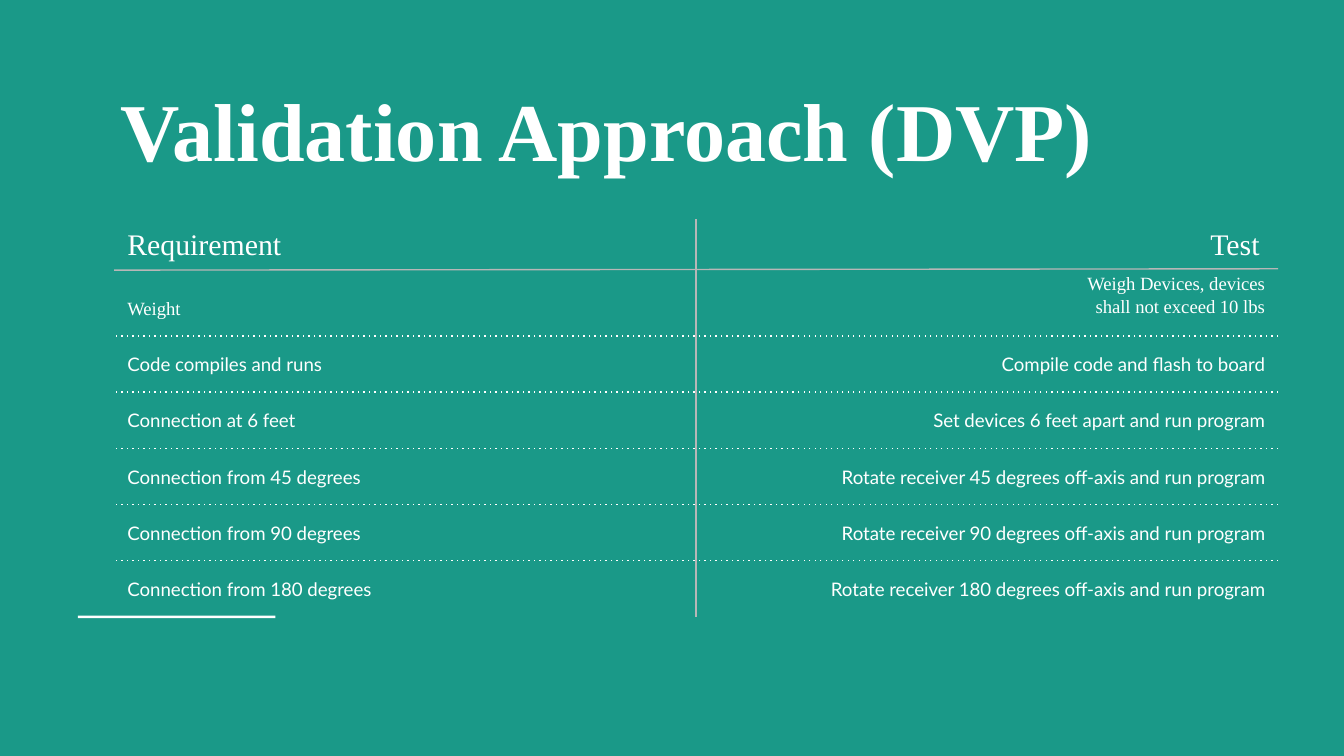
import pptx
import pptx.util
import pptx.dml.color
import pptx.enum.dml
import pptx.enum.shapes
import pptx.enum.text
import pptx.oxml.ns
import lxml.etree

Inches = pptx.util.Inches
Align = pptx.enum.text.PP_ALIGN
Anchor = pptx.enum.text.MSO_ANCHOR

COLORS = {"background": "1A9988", "text": "FFFFFF", "rule": "B7B7B7"}
SERIF, SANS = "Times New Roman", "Lato"
TABLE_LEFT, TABLE_RIGHT = 0.85, 9.51
FIRST_ROW_TOP, LAST_ROW_TOP = 2.12, 4.21
ROW_PITCH = (LAST_ROW_TOP - FIRST_ROW_TOP) / 5

presentation = pptx.Presentation()
presentation.slide_width = Inches(10)
presentation.slide_height = Inches(10 * 9 / 16)
slide = presentation.slides.add_slide(presentation.slide_layouts[6])
slide.background.fill.solid()
slide.background.fill.fore_color.rgb = pptx.dml.color.RGBColor.from_string(COLORS["background"])


def add_text(text, left, top, width, height, size=10, font=SANS, bold=False,
             align=Align.LEFT, anchor=Anchor.BOTTOM):
    box = slide.shapes.add_textbox(Inches(left), Inches(top), Inches(width), Inches(height))
    frame = box.text_frame
    frame.word_wrap = True
    frame.vertical_anchor = anchor
    frame.margin_left = frame.margin_right = Inches(0.1)
    frame.margin_top = frame.margin_bottom = Inches(0.1)
    paragraph = frame.paragraphs[0]
    paragraph.alignment = align
    run = paragraph.add_run()
    run.text = text
    run.font.size = pptx.util.Pt(size)
    run.font.name = font
    run.font.bold = bold
    run.font.color.rgb = pptx.dml.color.RGBColor.from_string(COLORS["text"])


def add_line(start, end, color, dotted=False):
    line = slide.shapes.add_connector(
        pptx.enum.shapes.MSO_CONNECTOR.STRAIGHT, *map(Inches, start + end))
    line.line.color.rgb = pptx.dml.color.RGBColor.from_string(COLORS[color])
    line.line.width = pptx.util.Pt(0.75)
    properties = line._element.spPr
    if dotted:
        line.line.dash_style = pptx.enum.dml.MSO_LINE.ROUND_DOT
        dash = properties.find(".//" + pptx.oxml.ns.qn("a:prstDash"))
        dash.set("val", "dot")
    lxml.etree.SubElement(properties, pptx.oxml.ns.qn("a:effectLst"))


# Accent bar and title
accent_bar = slide.shapes.add_shape(
    pptx.enum.shapes.MSO_SHAPE.RECTANGLE, Inches(0.58), Inches(4.58), Inches(1.47), Inches(0.02))
accent_bar.shadow.inherit = False
accent_bar.fill.solid()
accent_bar.fill.fore_color.rgb = pptx.dml.color.RGBColor.from_string(COLORS["text"])
accent_bar.line.fill.background()

add_text("Validation Approach (DVP)", 0.8, 0.49, 8.41, 0.86,
         size=44, font=SERIF, bold=True, anchor=Anchor.TOP)

# Rules between header, rows and columns
add_line((TABLE_RIGHT, 2), (TABLE_LEFT, 2.01), "rule")
for index in range(5):
    rule_top = 2.5 + index * ROW_PITCH
    add_line((TABLE_RIGHT, rule_top), (TABLE_LEFT, rule_top), "text", dotted=True)
add_line((5.18, 4.59), (5.18, 1.63), "rule")

# Column headers
add_text("Requirement", TABLE_LEFT, 1.62, 2.44, 0.38, size=16, font=SERIF, anchor=Anchor.MIDDLE)
add_text("Test", 8.75, 1.62, 0.72, 0.38, size=16, font=SERIF,
         align=Align.RIGHT, anchor=Anchor.MIDDLE)

# Requirement, its width, test, its width, font
rows = [
    ("Weight", 1.3, "Weigh Devices, devices shall not exceed 10 lbs", 1.77, SERIF),
    ("Code compiles and runs", 2.06, "Compile code and flash to board", 2.44, SANS),
    ("Connection at 6 feet", 2.06, "Set devices 6 feet apart and run program", 3.34, SANS),
    ("Connection from 45 degrees", 2.06,
     "Rotate receiver 45 degrees off-axis and run program", 3.65, SANS),
    ("Connection from 90 degrees", 2.06,
     "Rotate receiver 90 degrees off-axis and run program", 3.65, SANS),
    ("Connection from 180 degrees", 2.26,
     "Rotate receiver 180 degrees off-axis and run program", 3.65, SANS),
]
for index, (requirement, requirement_width, test, test_width, font) in enumerate(rows):
    row_top = FIRST_ROW_TOP + index * ROW_PITCH
    add_text(requirement, TABLE_LEFT, row_top, requirement_width, 0.34, font=font)
    add_text(test, TABLE_RIGHT - test_width, row_top, test_width, 0.34,
             font=font, align=Align.RIGHT)

presentation.save("out.pptx")
